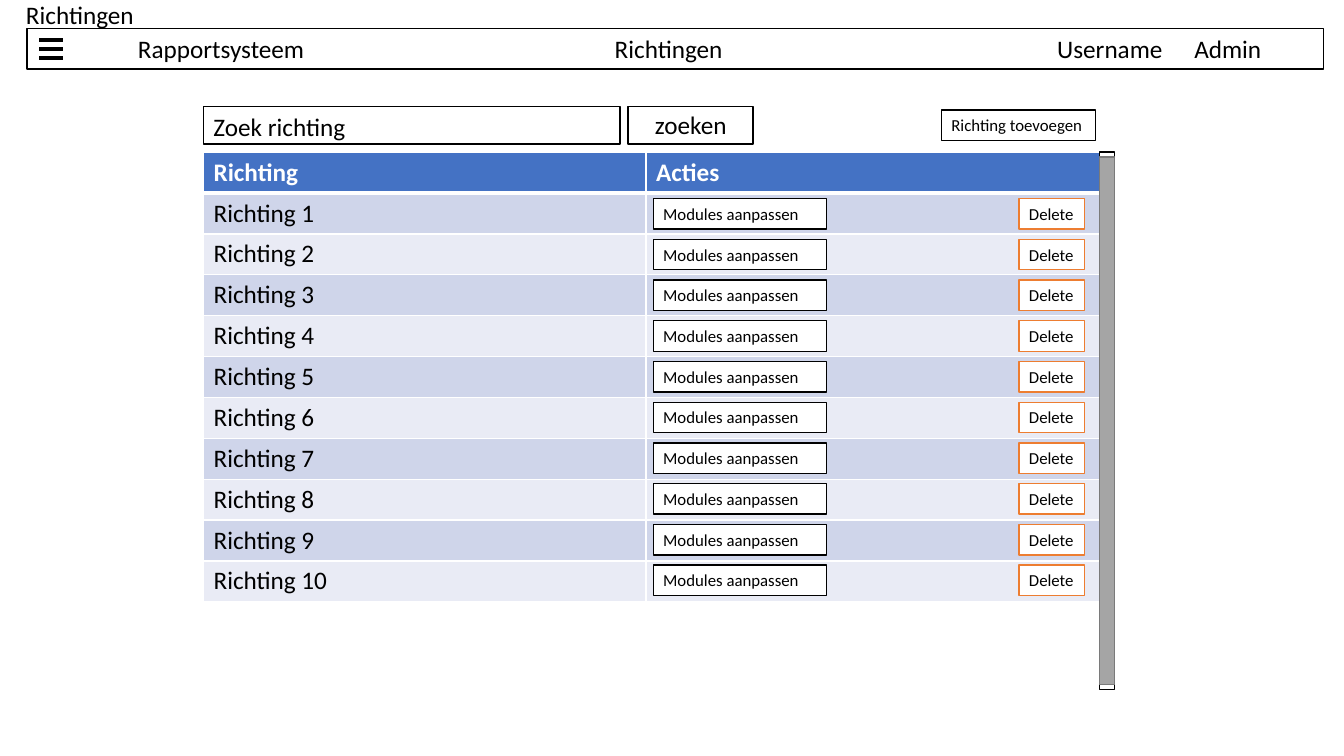
from dataclasses import dataclass
from typing import Any, NamedTuple

from lxml import etree
from pptx import Presentation
from pptx.dml.color import RGBColor
from pptx.enum.shapes import MSO_CONNECTOR, MSO_SHAPE
from pptx.enum.text import MSO_ANCHOR, MSO_AUTO_SIZE, PP_ALIGN
from pptx.oxml.ns import qn
from pptx.util import Pt

RECTANGLE = MSO_SHAPE.RECTANGLE
STRAIGHT = MSO_CONNECTOR.STRAIGHT
TOP = MSO_ANCHOR.TOP
LEFT = PP_ALIGN.LEFT
GROW = MSO_AUTO_SIZE.SHAPE_TO_FIT_TEXT


@dataclass(frozen=True)
class Theme:
    font: str = "Calibri"
    body: float = 18
    small: float = 12
    black: str = "000000"
    white: str = "FFFFFF"
    header: str = "4472C4"
    odd_row: str = "CFD5EA"
    even_row: str = "E9EBF5"
    delete: str = "ED7D31"
    thumb: str = "A5A5A5"
    thumb_edge: str = "7A7A7A"
    thin: float = 1
    thick: float = 3


THEME = Theme()


class Area(NamedTuple):
    left: float
    top: float
    width: float
    height: float


@dataclass(frozen=True)
class Box:
    area: Area
    text: str = ""
    size: float = THEME.body
    fill: str = THEME.white
    edge: str = THEME.black
    inset: float = 7.2
    wrap: bool = True


@dataclass(frozen=True)
class Label:
    area: Area
    text: str


def color(value: str) -> RGBColor:
    return RGBColor.from_string(value)


def apply(target: Any, formats: dict[str, Any]) -> None:
    for attribute, value in formats.items():
        setattr(target, attribute, value)


def style_font(font: Any, size: float, tint: str, bold: bool = False) -> None:
    apply(font, {"name": THEME.font, "size": Pt(size), "bold": bold})
    font.color.rgb = color(tint)


def write(frame: Any, text: str, size: float, inset: float = 7.2, wrap: bool = True) -> None:
    apply(frame, {
        "text": text, "word_wrap": wrap, "auto_size": GROW, "vertical_anchor": TOP,
        "margin_left": Pt(inset), "margin_right": Pt(7.2),
        "margin_top": Pt(3.6), "margin_bottom": Pt(3.6),
    })
    paragraph = frame.paragraphs[0]
    paragraph.alignment = LEFT
    style_font(paragraph.runs[0].font, size, THEME.black)


def draw_box(slide: Any, box: Box) -> None:
    rectangle = slide.shapes.add_shape(RECTANGLE, *map(Pt, box.area))
    rectangle.shadow.inherit = False
    rectangle.fill.solid()
    rectangle.fill.fore_color.rgb = color(box.fill)
    rectangle.line.color.rgb = color(box.edge)
    rectangle.line.width = Pt(THEME.thin)
    if box.text:
        write(rectangle.text_frame, box.text, box.size, box.inset, box.wrap)


def draw_label(slide: Any, label: Label) -> None:
    textbox = slide.shapes.add_textbox(*map(Pt, label.area))
    write(textbox.text_frame, label.text, THEME.body)


def draw_menu_bar(slide: Any, y: float) -> None:
    bar = slide.shapes.add_connector(STRAIGHT, Pt(28.1), Pt(y), Pt(44.9), Pt(y))
    bar.line.color.rgb = color(THEME.black)
    bar.line.width = Pt(THEME.thick)
    etree.SubElement(bar._element.spPr, qn("a:effectLst"))


def set_borders(cell: Any, widths: dict[str, float]) -> None:
    properties = cell._tc.get_or_add_tcPr()
    for position, (side, width) in enumerate(widths.items()):
        border = etree.Element(qn(f"a:{side}"), w=str(Pt(width)))
        fill = etree.SubElement(border, qn("a:solidFill"))
        etree.SubElement(fill, qn("a:srgbClr"), val=THEME.white)
        properties.insert(position, border)


def draw_table(slide: Any, area: Area, widths: list[float], rows: list[tuple[str, str]]) -> None:
    table = slide.shapes.add_table(len(rows), len(widths), *map(Pt, area)).table
    for column, width in zip(table.columns, widths):
        column.width = Pt(width)
    for index, texts in enumerate(rows):
        table.rows[index].height = Pt(area.height / len(rows))
        is_header = index == 0
        band = THEME.odd_row if index % 2 else THEME.even_row
        for column_index, text in enumerate(texts):
            cell = table.cell(index, column_index)
            cell.text = text
            cell.fill.solid()
            cell.fill.fore_color.rgb = color(THEME.header if is_header else band)
            style_font(cell.text_frame.paragraphs[0].font, THEME.body,
                       THEME.white if is_header else THEME.black, is_header)
            for run in cell.text_frame.paragraphs[0].runs:
                style_font(run.font, THEME.body,
                           THEME.white if is_header else THEME.black, is_header)
            set_borders(cell, {
                "lnL": THEME.thin, "lnR": THEME.thin,
                "lnT": THEME.thick if index == 1 else THEME.thin,
                "lnB": THEME.thick if is_header else THEME.thin,
            })


COUNT = 10
ROW_HEIGHT = 29.2
BUTTON_TOP = 141.8
BUTTON_PITCH = 29.1
BUTTON_HEIGHT = 21.8
TABLE_LEFT = 145.4
TABLE_TOP = 108.7
COLUMNS = [316.1, 324]
SCROLL_LEFT = 785.5

HEADER = Box(Area(19.4, 20.2, 925.9, 29.1), "Rapportsysteem", inset=79.2)
SEARCH_BOXES = [
    Box(Area(TABLE_LEFT, 76.3, 297.4, 26.6)),
    Box(Area(448.6, 76.3, 89.3, 26.6)),
]
LABELS = [
    Label(Area(748.1, 20.2, 108, 29.1), "Username"),
    Label(Area(846, 20.2, 93.6, 29.1), "Admin"),
    Label(Area(432, 20.2, 99.4, 29.1), "Richtingen"),
    Label(Area(TABLE_LEFT, 76.3, 157.7, 29.1), "Zoek richting"),
    Label(Area(460.8, 74.2, 67.7, 29.1), "zoeken"),
    Label(Area(11.5, -4.3, 133.9, 29.1), "Richtingen"),
]
ADD_BUTTON = Box(Area(672.5, 78.5, 110.2, BUTTON_HEIGHT), "Richting toevoegen", THEME.small)
SCROLLBAR = [
    Box(Area(SCROLL_LEFT, TABLE_TOP, 10.8, 383.8)),
    Box(Area(SCROLL_LEFT, 112.3, 10.8, 376.6), fill=THEME.thumb, edge=THEME.thumb_edge),
]

presentation = Presentation()
apply(presentation, {"slide_width": Pt(960), "slide_height": Pt(540)})
slide = presentation.slides.add_slide(presentation.slide_layouts[6])

draw_box(slide, HEADER)
for menu_index in range(3):
    draw_menu_bar(slide, 28.8 + menu_index * 6.2)
for search_box in SEARCH_BOXES:
    draw_box(slide, search_box)
for label in LABELS:
    draw_label(slide, label)

directions = [("Richting", "Acties")] + [(f"Richting {n}", "") for n in range(1, COUNT + 1)]
table_area = Area(TABLE_LEFT, TABLE_TOP, sum(COLUMNS), ROW_HEIGHT * len(directions))
draw_table(slide, table_area, COLUMNS, directions)

draw_box(slide, ADD_BUTTON)
for row in range(COUNT):
    top = BUTTON_TOP + row * BUTTON_PITCH
    draw_box(slide, Box(Area(466.6, top, 123.8, BUTTON_HEIGHT), "Modules aanpassen", THEME.small))
    draw_box(slide, Box(Area(727.9, top, 46.8, BUTTON_HEIGHT), "Delete", THEME.small,
                        edge=THEME.delete, wrap=False))
for scroll_part in SCROLLBAR:
    draw_box(slide, scroll_part)

presentation.save("out.pptx")
